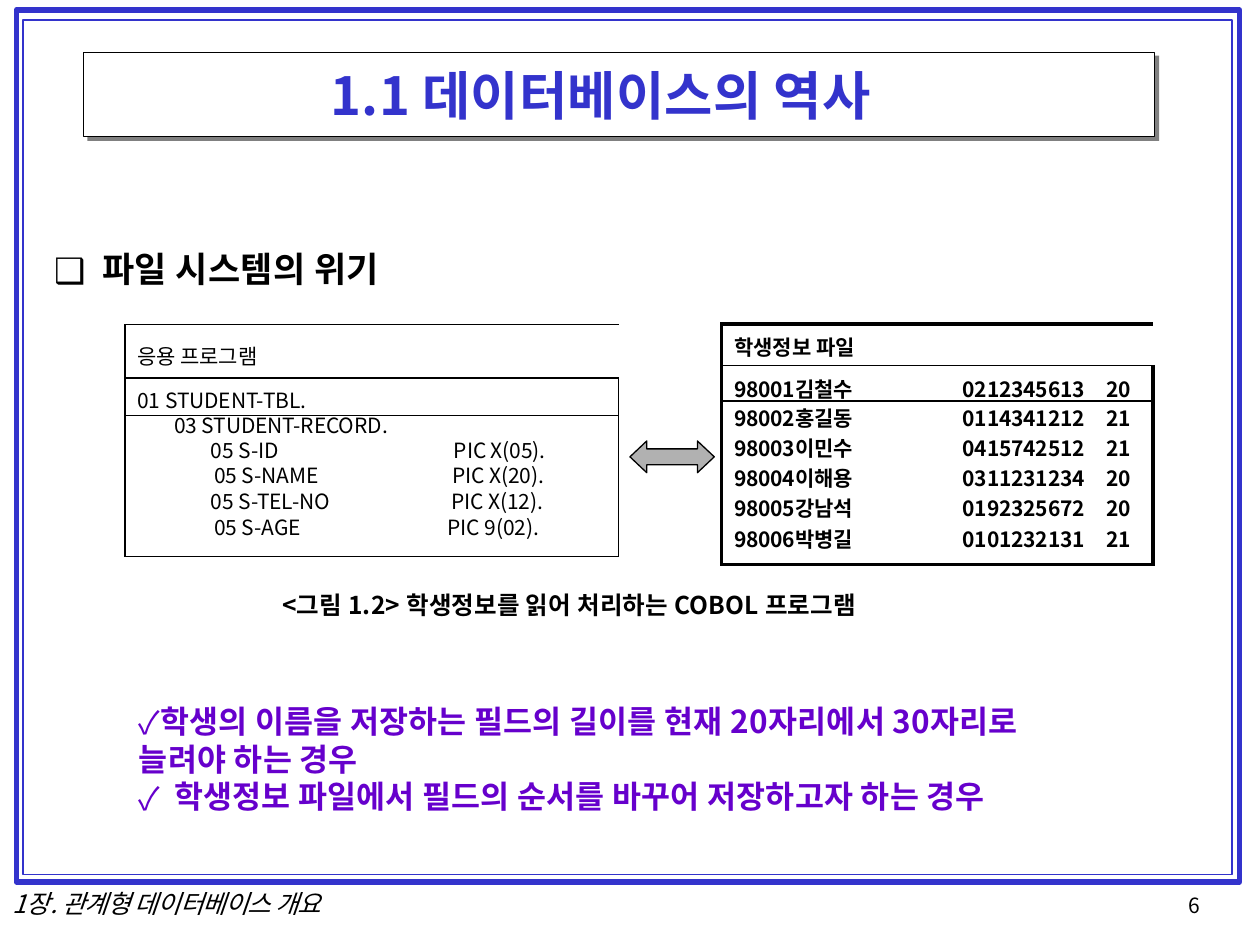
from lxml.etree import SubElement
from pptx import Presentation
from pptx.dml.color import RGBColor
from pptx.enum.shapes import MSO_SHAPE
from pptx.enum.text import MSO_ANCHOR, PP_ALIGN
from pptx.oxml.ns import qn
from pptx.util import Cm, Pt

FONT = "Noto Sans CJK KR"
COLORS = {"ink": "000000", "frame": "3333CC", "note": "6600CC",
          "shade": "808080", "arrow": "B1B1B1", "paper": "FFFFFF"}


def color(name):
    return RGBColor.from_string(COLORS[name])


class Page:
    def __init__(self, deck):
        self.slide = deck.slides.add_slide(deck.slide_layouts[5])
        self.shapes = self.slide.shapes

    def box(self, kind, place, fill=None, line=None, width=0.75):
        shape = self.shapes.add_shape(kind, *map(Cm, place))
        shape.shadow.inherit = False
        if fill:
            shape.fill.solid()
            shape.fill.fore_color.rgb = color(fill)
        else:
            shape.fill.background()
        if line:
            shape.line.color.rgb = color(line)
            shape.line.width = Pt(width)
        else:
            shape.line.fill.background()
        return shape

    def label(self, para, text, ink="ink", left=0, hang=0, bullet=None,
              gap=0, form=None, **style):
        props = para._p.get_or_add_pPr()
        props.set("marL", str(Cm(left)))
        props.set("indent", str(Cm(hang)))
        for key, value in (form or {}).items():
            setattr(para, key, value)
        if bullet:
            SubElement(props, qn("a:buFont"), typeface=FONT)
            SubElement(props, qn("a:buChar"), char=bullet)
            tabs = SubElement(props, qn("a:tabLst"))
            SubElement(tabs, qn("a:tab"), pos=str(Cm(max(left, 0.74))), algn="l")
        run = para.add_run()
        run.text = text
        run.font.color.rgb = color(ink)
        run.font.name = FONT
        for key, value in style.items():
            setattr(run.font, key, value)
        mark = run._r.get_or_add_rPr()
        mark.set("spc", str(round(gap * 100)))
        SubElement(mark, qn("a:ea"), typeface=FONT)

    def trim(self, frame):
        for side in ("left", "right", "top", "bottom"):
            setattr(frame, f"margin_{side}", 0)
        frame.word_wrap = True
        frame.vertical_anchor = MSO_ANCHOR.TOP

    def title(self, place, text, **style):
        head = self.shapes.title
        head.left, head.top, head.width, head.height = map(Cm, place)
        self.trim(head.text_frame)
        self.label(head.text_frame.paragraphs[0], text, **style)
        # Bring the title in front of its panel
        self.shapes._spTree.append(head._element)

    def text(self, place, *lines, **style):
        frame = self.shapes.add_textbox(*map(Cm, place)).text_frame
        self.trim(frame)
        for i, (line, extra) in enumerate(lines):
            para = frame.add_paragraph() if i else frame.paragraphs[0]
            self.label(para, line, **style, **extra)

    def edge(self, cell, side, width):
        line = SubElement(cell._tc.get_or_add_tcPr(), qn(f"a:ln{side}"),
                          w=str(Pt(width)))
        if width:
            fill = SubElement(line, qn("a:solidFill"))
            SubElement(fill, qn("a:srgbClr"), val=COLORS["ink"])
        else:
            SubElement(line, qn("a:noFill"))

    def table(self, spot, cols, rows, data, tops, outer, inner, **style):
        size = len(rows), len(cols)
        place = (*spot, sum(cols), sum(rows))
        grid = self.shapes.add_table(*size, *map(Cm, place)).table
        grid.first_row = grid.horz_banding = False
        for col, width in zip(grid.columns, cols):
            col.width = Cm(width)
        # Horizontal rules: the border, then below the first two rows
        rules = [outer, inner, inner] + [0] * (size[0] - 3) + [outer]
        walls = [outer] + [0] * (size[1] - 1) + [outer]
        for r, height in enumerate(rows):
            grid.rows[r].height = Cm(height)
            for c in range(size[1]):
                cell = grid.cell(r, c)
                cell.margin_left = cell.margin_right = cell.margin_bottom = 0
                cell.margin_top = Cm(tops[r])
                for side, width in (("L", walls[c]), ("R", walls[c + 1]),
                                    ("T", rules[r]), ("B", rules[r + 1])):
                    self.edge(cell, side, width)
                cell.fill.background()
                para = cell.text_frame.paragraphs[0]
                if c < len(data[r]):
                    text, extra = data[r][c]
                    self.label(para, text, **style, **extra)
                else:
                    SubElement(para._p, qn("a:endParaRPr"),
                               sz=str(round(style["size"].pt * 100)))
        grid.cell(0, 0).merge(grid.cell(0, size[1] - 1))


def main():
    deck = Presentation()
    deck.slide_width, deck.slide_height = Cm(25.4), Cm(19.05)
    page = Page(deck)
    rect = MSO_SHAPE.RECTANGLE

    # Double frame and title panel
    page.box(rect, (0.33, 0.2, 24.66, 17.58), line="frame", width=3)
    page.box(rect, (0.46, 0.41, 24.38, 17.22), line="frame", width=1)
    page.box(rect, (1.76, 1.12, 21.61, 1.72), fill="shade")
    page.box(rect, (1.69, 1.06, 21.59, 1.69), fill="paper", line="ink")
    page.title((1.69, 1.27, 21.56, 1.35), "1.1 데이터베이스의 역사",
               ink="frame", left=4.98, gap=0.1, size=Pt(30), bold=True,
               form={"alignment": PP_ALIGN.LEFT})

    # Heading
    page.text((1.07, 4.98, 7.04, 0.91),
              ("파일 시스템의 위기", {"left": 0.99, "hang": -0.97, "bullet": "❑"}),
              size=Pt(20), bold=True, gap=0.2)

    # Program listing
    fields = [("05 S-ID", 1.73, "PIC X(05).", 0.46, 13.4),
              ("05 S-NAME", 1.8, "PIC X(20).", 0.43, 13.4),
              ("05 S-TEL-NO", 1.73, "PIC X(12).", 0.41, 13.7),
              ("05 S-AGE", 1.8, "PIC 9(02).", 0.33, 14.2)]
    code = [[("응용 프로그램", {"left": 0.25})],
            [("01 STUDENT-TBL.",
              {"left": 0.25, "form": {"line_spacing": Pt(13.9)}})],
            [("03 STUDENT-RECORD.",
              {"left": 0.99, "form": {"line_spacing": Pt(13.4)}})]]
    for name, left, kind, inset, pitch in fields:
        form = {"line_spacing": Pt(pitch)}
        code.append([(name, {"left": left, "form": form}),
                     (kind, {"left": inset, "form": form})])
    page.table((2.52, 6.55), (6.17, 3.78), [1.07, 0.76] + [0.51] * 4 + [0.79],
               code, [0.3, 0.25] + [0] * 5, 0.75, 0.75, size=Pt(12), gap=-0.05)

    # Student file
    people = [("98001김철수", "0212345613", "20"),
              ("98002홍길동", "0114341212", "21"),
              ("98003이민수", "0415742512", "21"),
              ("98004이해용", "0311231234", "20"),
              ("98005강남석", "0192325672", "20"),
              ("98006박병길", "0101232131", "21")]
    looks = [{"left": 0.25, "gap": -0.1},
             {"gap": -0.1, "form": {"alignment": PP_ALIGN.RIGHT}},
             {"gap": 0.1, "form": {"alignment": PP_ALIGN.CENTER}}]
    roll = [[("학생정보 파일", {"left": 0.25})]]
    roll += [list(zip(person, looks)) for person in people]
    page.table((14.55, 6.53), (3.61, 3.71, 1.37),
               [0.84, 0.71] + [0.61] * 4 + [0.86], roll,
               [0.15, 0.15] + [0.02] * 5, 2.25, 1, size=Pt(12), bold=True)

    # Arrow between program and file
    arrow = page.box(MSO_SHAPE.LEFT_RIGHT_ARROW, (12.7, 8.89, 1.7, 0.64),
                     fill="arrow", line="ink")
    arrow.adjustments[0], arrow.adjustments[1] = 0.5, 0.53

    # Caption and footer
    page.text((5.66, 11.89, 12.34, 0.66),
              ("<그림 1.2> 학생정보를 읽어 처리하는 COBOL 프로그램", {"left": 0.03}),
              size=Pt(14), bold=True, gap=0.1)
    page.text((0.23, 17.93, 6.96, 0.58),
              ("1장. 관계형 데이터베이스 개요", {"left": 0.03}),
              size=Pt(14.5), italic=True, gap=-0.45,
              form={"line_spacing": Pt(16.6)})
    page.text((23.85, 18.01, 0.74, 0.48), ("6", {"left": 0.1}),
              size=Pt(12), form={"line_spacing": Pt(13.7)})

    # Problem cases
    page.text((2.77, 14.15, 19.23, 2.36),
              ("학생의 이름을 저장하는 필드의 길이를 현재 20자리에서 30자리로 "
               "늘려야 하는 경우", {"left": 0.03}),
              ("학생정보 파일에서 필드의 순서를 바꾸어 저장하고자 하는 경우",
               {"left": 0.74, "hang": -0.71}),
              bullet="✓", ink="note", size=Pt(18), bold=True, gap=0.13)

    deck.save("out.pptx")


if __name__ == "__main__":
    main()
